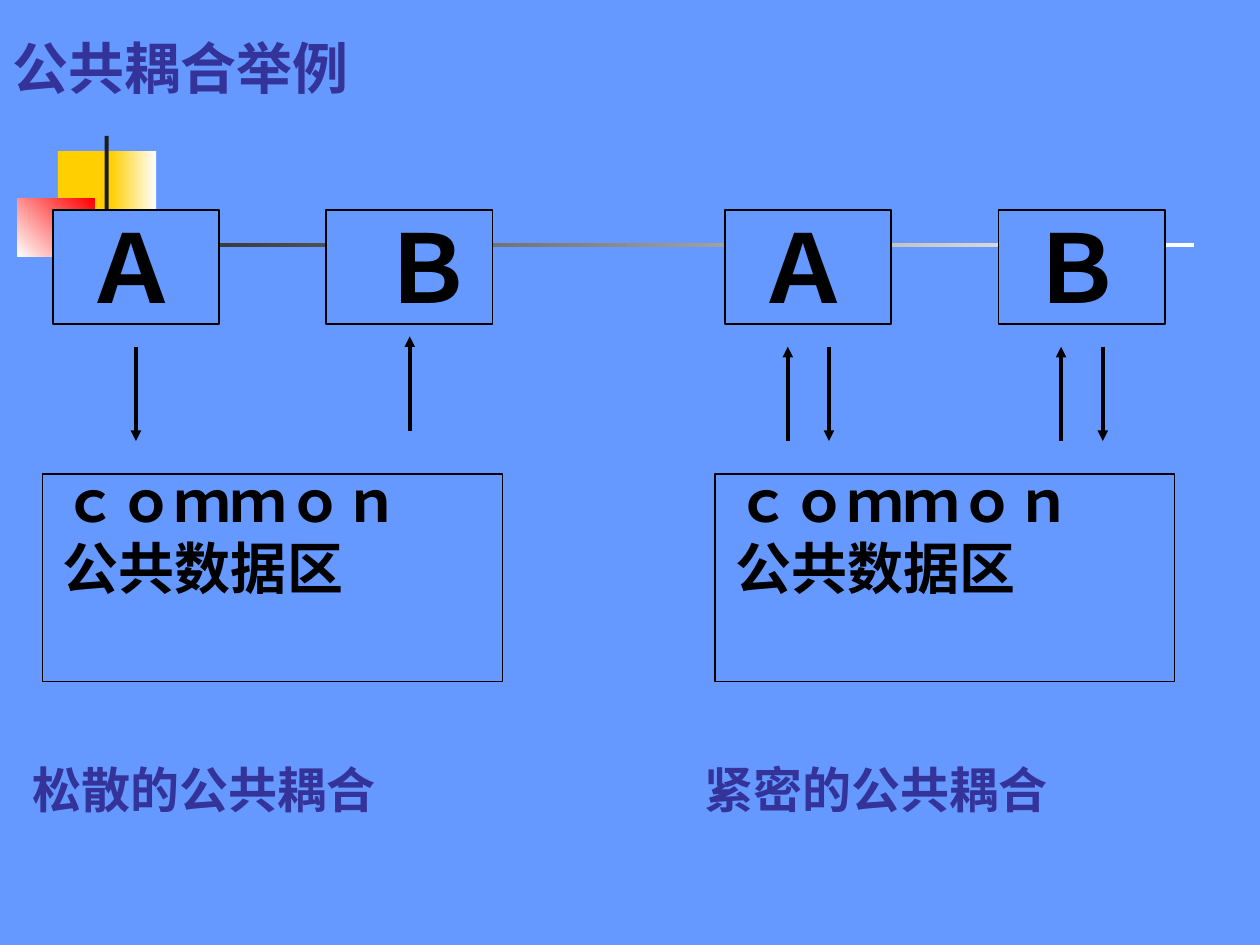
import pptx
import pptx.dml.color
import pptx.enum.shapes
import pptx.enum.text
import pptx.oxml
import pptx.oxml.ns
import pptx.util
from pptx.util import Cm

FONT = "Noto Sans CJK SC"
BLUE, BLACK, INDIGO = "6699FF", "000000", "333399"
RECTANGLE = pptx.enum.shapes.MSO_SHAPE.RECTANGLE
STRAIGHT = pptx.enum.shapes.MSO_CONNECTOR.STRAIGHT
NAMESPACE = pptx.oxml.ns.nsdecls("a")
color = pptx.dml.color.RGBColor.from_string


def write(box, lines, size, hue, wrap=True):
    """Fill a box with bold, left-aligned paragraphs."""
    frame = box.text_frame
    frame.word_wrap = wrap
    frame.text = "\n".join(lines)
    for para in frame.paragraphs:
        para.alignment = pptx.enum.text.PP_ALIGN.LEFT
        font = para.font
        font.name, font.size, font.bold = FONT, pptx.util.Pt(size), True
        font.color.rgb = color(hue)
        # East Asian glyphs take their typeface from a separate element
        east_asian = pptx.oxml.parse_xml(f'<a:ea {NAMESPACE} typeface="{FONT}"/>')
        para._p.pPr.find(pptx.oxml.ns.qn("a:defRPr")).append(east_asian)


def add_rectangle(left, top, width, height, hues, angle=0, outlined=False):
    """Add a rectangle with one solid hue or a gradient between two."""
    box = page.shapes.add_shape(RECTANGLE, Cm(left), Cm(top), Cm(width), Cm(height))
    box.shadow.inherit = False
    if len(hues) == 1:
        box.fill.solid()
        box.fill.fore_color.rgb = color(hues[0])
    else:
        box.fill.gradient()
        box.fill.gradient_angle = angle
        for stop, hue in zip(box.fill.gradient_stops, hues):
            stop.color.rgb = color(hue)
    if outlined:
        box.line.color.rgb = color(BLACK)
        box.line.width = pptx.util.Pt(1)
    else:
        box.line.fill.background()


deck = pptx.Presentation()
deck.slide_width, deck.slide_height = Cm(25.4), Cm(19.05)
page = deck.slides.add_slide(deck.slide_layouts[5])
page.background.fill.solid()
page.background.fill.fore_color.rgb = color(BLUE)

# Decorative squares and rules
for left, top, width, height, hues, angle in [
    (1.17, 3.05, 1.22, 1.32, ["FFCF01"], 0),
    (2.24, 3.05, 0.91, 1.32, ["FFCF01", "FFFFFF"], 0),
    (1.5, 4.22, 1.17, 1.32, ["3333CC"], 0),
    (2.54, 4.22, 1.02, 1.32, ["3333CC", "FFFFFF"], 0),
    (0.35, 4.01, 1.55, 1.17, ["FFFFFF", "FF0000"], 45),
    (2.11, 2.74, 0.08, 2.92, ["1C1C1C"], 0),
    (1.22, 4.9, 22.86, 0.08, ["1C1C1C", "FFFFFF"], 0),
]:
    add_rectangle(left, top, width, height, hues, angle)

title = page.shapes.title
title.left, title.top, title.width, title.height = Cm(0), Cm(0.15), Cm(13.77), Cm(2.39)
title.text_frame.vertical_anchor = pptx.enum.text.MSO_ANCHOR.MIDDLE
write(title, ["公共耦合举例"], 32, INDIGO)

# Two panels: modules A and B above a shared data area and a caption
panels = [
    (0, "松散的公共耦合", 0.84, 2.84),
    (13.55, "紧密的公共耦合", 0.38, 2.41),
]
for shift, caption, b_indent, b_width in panels:
    for letter, left, indent, width in [
        ("Ａ", 1.07, 0.38, 2.41),
        ("Ｂ", 6.58, b_indent, b_width),
    ]:
        add_rectangle(left + shift, 4.24, 3.35, 2.29, [BLUE], outlined=True)
        label = page.shapes.add_textbox(
            Cm(left + shift + indent), Cm(4.09), Cm(width), Cm(2.54))
        write(label, [letter], 54, BLACK)

    add_rectangle(0.86 + shift, 9.55, 9.27, 4.19, [BLUE], outlined=True)
    label = page.shapes.add_textbox(Cm(1.02 + shift), Cm(9.27), Cm(9.58), Cm(2.97))
    write(label, ["ｃｏｍｍｏｎ", "公共数据区"], 32, BLACK)

    label = page.shapes.add_textbox(Cm(0.41 + shift), Cm(15.19), Cm(7.42), Cm(1.45))
    write(label, [caption], 28, INDIGO, wrap=False)

# Data flow arrows: x, start y, end y
for x, start, end in [
    (2.74, 6.99, 8.89),
    (8.26, 8.69, 6.78),
    (15.88, 8.89, 6.99),
    (16.71, 6.99, 8.89),
    (21.39, 8.89, 6.99),
    (22.23, 6.99, 8.89),
]:
    arrow = page.shapes.add_connector(STRAIGHT, Cm(x), Cm(start), Cm(x), Cm(end))
    arrow.line.color.rgb = color(BLACK)
    arrow.line.width = pptx.util.Pt(2)
    arrow.line._get_or_add_ln().append(
        pptx.oxml.parse_xml(f'<a:tailEnd {NAMESPACE} type="triangle"/>'))
    arrow._element.spPr.append(pptx.oxml.parse_xml(f"<a:effectLst {NAMESPACE}/>"))

deck.save("out.pptx")
